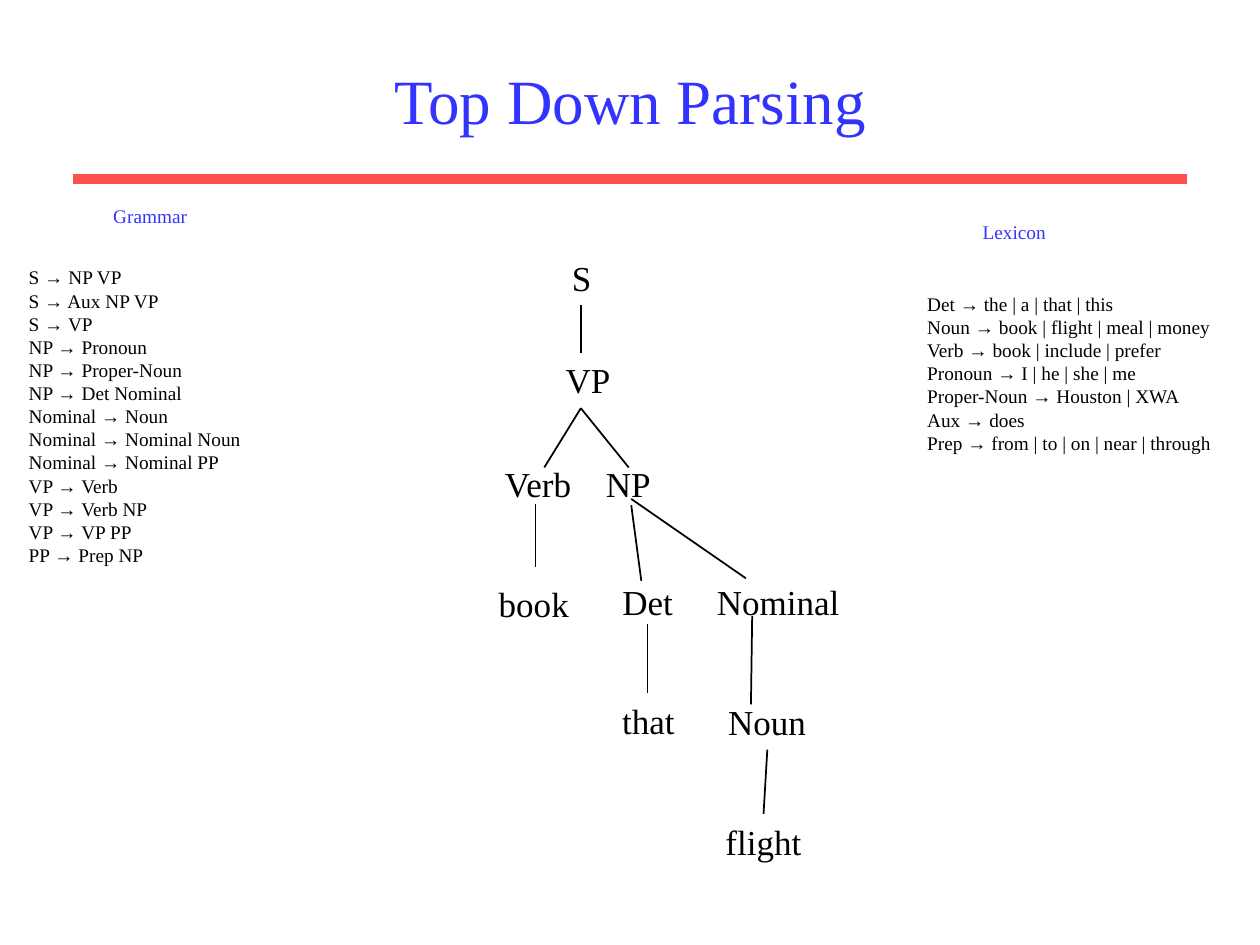
from pptx import Presentation
from pptx.dml.color import RGBColor
from pptx.enum.shapes import MSO_CONNECTOR
from pptx.enum.text import MSO_ANCHOR, MSO_AUTO_SIZE, PP_ALIGN
from pptx.oxml.ns import qn
from pptx.util import Inches, Pt
from lxml import etree

STRAIGHT = MSO_CONNECTOR.STRAIGHT
MIDDLE = MSO_ANCHOR.MIDDLE
GROW = MSO_AUTO_SIZE.SHAPE_TO_FIT_TEXT
CENTER = PP_ALIGN.CENTER
LEFT = PP_ALIGN.LEFT

BLUE = RGBColor(0x33, 0x33, 0xFF)
RED = RGBColor(0xFF, 0x50, 0x50)
BLACK = RGBColor(0, 0, 0)
FONT = "Times New Roman"

GRAMMAR = [
    "S → NP VP", "S → Aux NP VP", "S → VP",
    "NP → Pronoun", "NP → Proper-Noun", "NP → Det Nominal",
    "Nominal → Noun", "Nominal → Nominal Noun", "Nominal → Nominal PP",
    "VP → Verb", "VP → Verb NP", "VP → VP PP", "PP → Prep NP",
]
LEXICON = [
    "Det → the | a | that | this",
    "Noun → book | flight | meal | money",
    "Verb → book | include | prefer",
    "Pronoun → I | he | she | me",
    "Proper-Noun → Houston | XWA",
    "Aux → does",
    "Prep → from | to | on | near | through",
]

# Word, left, top, width; offsets in inches from the corner of the tree
NODES = [
    ("S", 0.58, 0, 0.38),
    ("VP", 0.53, 0.81, 0.6),
    ("Verb", 0.05, 1.63, 0.77), ("NP", 0.85, 1.63, 0.6),
    ("book", 0, 2.58, 0.8), ("Det", 0.98, 2.57, 0.65), ("Nominal", 1.73, 2.57, 1.22),
    ("that", 0.98, 3.51, 0.66), ("Noun", 1.82, 3.52, 0.86),
    ("flight", 1.8, 4.47, 0.84),
]
# Start and end of each branch, from the same corner
BRANCHES = [
    (0.75, 0.43, 0.75, 0.81),  # S to VP
    (0.75, 1.25, 0.46, 1.72),  # VP to Verb
    (0.75, 1.25, 1.13, 1.72),  # VP to NP
    (0.39, 2.01, 0.39, 2.51),  # Verb to book
    (1.15, 2.02, 1.23, 2.62),  # NP to Det
    (1.15, 1.97, 2.06, 2.6),   # NP to Nominal
    (1.28, 2.96, 1.28, 3.51),  # Det to that
    (2.11, 2.9, 2.1, 3.6),     # Nominal to Noun
    (2.23, 3.96, 2.2, 4.47),   # Noun to flight
]


def format_paragraph(paragraph, size, color, alignment=LEFT):
    paragraph.alignment = alignment
    values = {"name": FONT, "size": Pt(size), "bold": False}
    for name, value in values.items():
        setattr(paragraph.font, name, value)
    paragraph.font.color.rgb = color


def add_text(slide, box, lines, size, color, wrap=False):
    frame = slide.shapes.add_textbox(*map(Inches, box)).text_frame
    frame.word_wrap = wrap
    frame.auto_size = GROW
    frame.text = "\n".join(lines)
    for paragraph in frame.paragraphs:
        format_paragraph(paragraph, size, color)


def add_line(slide, ends, color, width):
    line = slide.shapes.add_connector(STRAIGHT, *map(Inches, ends))
    line.line.color.rgb = color
    line.line.width = Pt(width)
    properties = line._element.find(qn("p:spPr"))
    etree.SubElement(properties, qn("a:effectLst"))


def add_title(slide, left, top, width, height):
    add_line(slide, (left - 0.17, top + 1.17, left + width + 0.17, top + 1.17), RED, 6)
    title = slide.shapes.title
    box = {"left": left, "top": top, "width": width, "height": height}
    for name, value in box.items():
        setattr(title, name, Inches(value))
    title.text_frame.text = "Top Down Parsing"
    title.text_frame.vertical_anchor = MIDDLE
    format_paragraph(title.text_frame.paragraphs[0], 36, BLUE, CENTER)


def add_tree(slide, left, top):
    for word, x, y, width in NODES:
        add_text(slide, (left + x, top + y, width, 0.44), [word], 20, BLACK)
    for x1, y1, x2, y2 in BRANCHES:
        add_line(slide, (left + x1, top + y1, left + x2, top + y2), BLACK, 1)


def add_rules(slide, box, rules, heading, heading_box):
    """Place a rule list and its heading, whose box is relative to the list."""
    add_text(slide, box, rules, 11, BLACK, wrap=True)
    x, y, width, height = heading_box
    add_text(slide, (box[0] + x, box[1] + y, width, height), [heading], 11, BLUE)


def main():
    presentation = Presentation()
    presentation.slide_width = Inches(10)
    presentation.slide_height = Inches(7.5)
    slide = presentation.slides.add_slide(presentation.slide_layouts[5])
    add_title(slide, 0.75, 0.25, 8.5, 1.08)
    add_tree(slide, 3.86, 1.99)
    add_rules(slide, (0.13, 2.06, 1.9, 2.49), GRAMMAR, "Grammar", (0.67, -0.49, 0.79, 0.29))
    add_rules(slide, (7.26, 2.27, 2.55, 1.39), LEXICON, "Lexicon", (0.44, -0.57, 0.7, 0.29))
    presentation.save("out.pptx")


if __name__ == "__main__":
    main()
